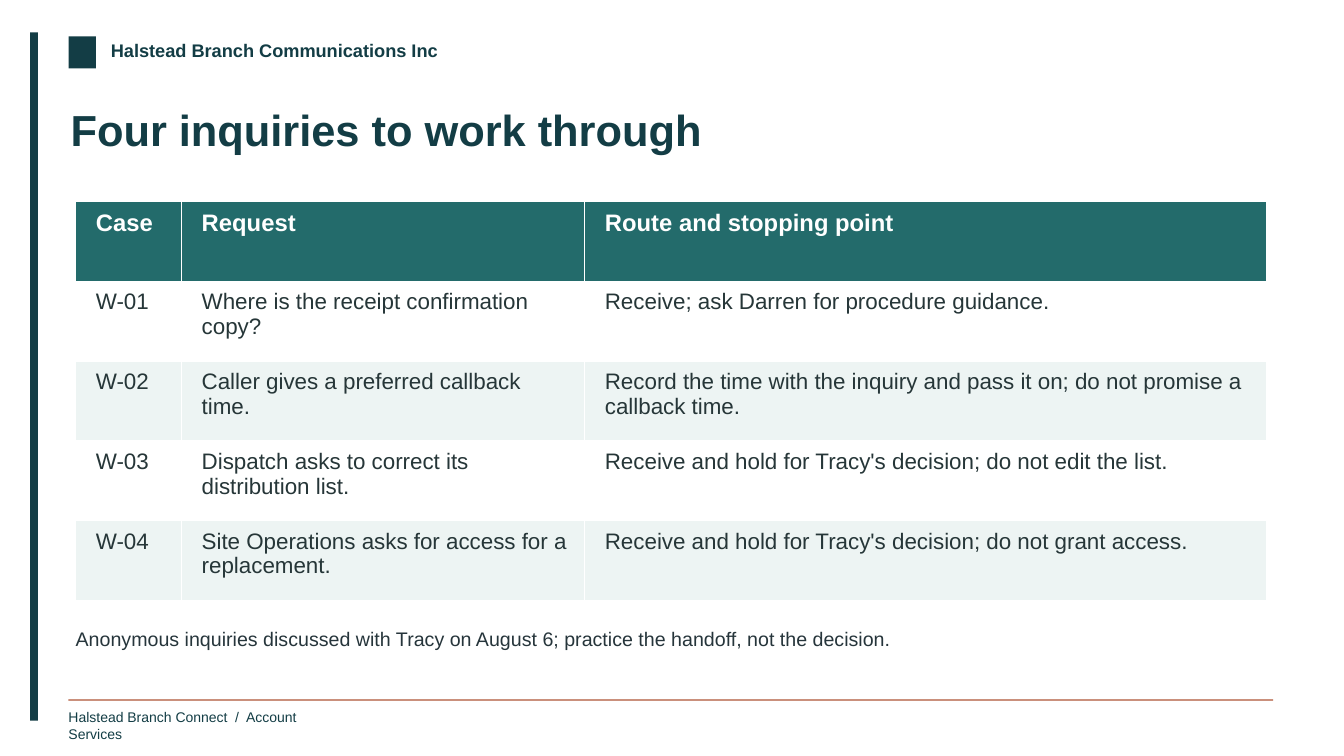
from dataclasses import dataclass

from pptx import Presentation
from pptx.dml.color import RGBColor
from pptx.enum.shapes import MSO_SHAPE
from pptx.util import Emu, Inches, Pt

HUES = {
    "ink": "133D45",
    "rust": "AF5636",
    "teal": "236B6B",
    "mist": "EDF4F3",
    "white": "FFFFFF",
    "cell": "263638",
    "note": "26353B",
}
WIDE, HIGH = Inches(13.333), Inches(7.5)


@dataclass(frozen=True)
class Box:
    """A place on the slide, in percent of its width and height."""
    left: float
    top: float
    width: float
    height: float

    def place(self) -> tuple[Emu, Emu, Emu, Emu]:
        return (share(self.left, WIDE), share(self.top, HIGH),
                share(self.width, WIDE), share(self.height, HIGH))


@dataclass(frozen=True)
class Block:
    box: Box
    hue: str


@dataclass(frozen=True)
class Label:
    box: Box
    text: str
    size: int
    hue: str = "ink"
    bold: bool = False
    wrap: bool = False


BLOCKS = [
    Block(Box(2.25, 4.27, 0.57, 91.07), "ink"),
    Block(Box(5.1, 4.8, 2.03, 4.27), "ink"),
    Block(Box(5.1, 92.53, 89.63, 0.17), "rust"),
]
LABELS = [
    Label(Box(8.25, 5.2, 26.6, 3.6), "Halstead Branch Communications Inc", 13, bold=True),
    Label(Box(5.1, 93.73, 19.5, 3.07), "Halstead Branch Connect  /  Account Services", 10),
    Label(Box(5.25, 13.6, 89.25, 11.47), "Four inquiries to work through", 31,
          bold=True, wrap=True),
    Label(Box(5.63, 82.93, 88.65, 5.87),
          "Anonymous inquiries discussed with Tracy on August 6; "
          "practice the handoff, not the decision.", 14, "note", wrap=True),
]
GRID = Box(5.63, 26.67, 88.65, 52.8)
COLS = [7.88, 30, 50.77]
ROWS = [
    ("Case", "Request", "Route and stopping point"),
    ("W-01", "Where is the receipt confirmation copy?",
     "Receive; ask Darren for procedure guidance."),
    ("W-02", "Caller gives a preferred callback time.",
     "Record the time with the inquiry and pass it on; do not promise a callback time."),
    ("W-03", "Dispatch asks to correct its distribution list.",
     "Receive and hold for Tracy's decision; do not edit the list."),
    ("W-04", "Site Operations asks for access for a replacement.",
     "Receive and hold for Tracy's decision; do not grant access."),
]


def share(part: float, whole: int) -> Emu:
    return Emu(round(whole * part / 100))


def tint(hue: str) -> RGBColor:
    return RGBColor.from_string(HUES[hue])


def write(frame, text: str, *, size: int, hue: str, bold: bool = False,
          pads: tuple[float, ...] = (0, 0, 0, 0)) -> None:
    """Fill a text frame; pads are left, top, right, bottom in inches."""
    (frame.margin_left, frame.margin_top,
     frame.margin_right, frame.margin_bottom) = map(Inches, pads)
    run = frame.paragraphs[0].add_run()
    run.text = text
    run.font.name = "Arial"
    run.font.size = Pt(size)
    run.font.bold = bold
    run.font.color.rgb = tint(hue)


def draw_block(slide, block: Block) -> None:
    shape = slide.shapes.add_shape(MSO_SHAPE.RECTANGLE, *block.box.place())
    shape.shadow.inherit = False
    shape.fill.solid()
    shape.fill.fore_color.rgb = tint(block.hue)
    shape.line.fill.background()


def draw_label(slide, label: Label) -> None:
    frame = slide.shapes.add_textbox(*label.box.place()).text_frame
    frame.word_wrap = label.wrap
    write(frame, label.text, size=label.size, hue=label.hue, bold=label.bold)


def draw_table(slide) -> None:
    table = slide.shapes.add_table(len(ROWS), len(COLS), *GRID.place()).table
    table.horz_banding = False
    for col, width in zip(table.columns, COLS):
        col.width = share(width, WIDE)
    for i, texts in enumerate(ROWS):
        head = i == 0
        fill = "teal" if head else "white" if i % 2 else "mist"
        for j, text in enumerate(texts):
            cell = table.cell(i, j)
            cell.fill.solid()
            cell.fill.fore_color.rgb = tint(fill)
            write(cell.text_frame, text, size=17 if head else 16,
                  hue="white" if head else "cell", bold=head)
            cell.margin_left, cell.margin_top = Inches(0.2), Inches(0.08)
            cell.margin_right, cell.margin_bottom = Inches(0.12), Inches(0.05)


def main() -> None:
    deck = Presentation()
    deck.slide_width, deck.slide_height = WIDE, HIGH
    slide = deck.slides.add_slide(deck.slide_layouts[6])
    for block in BLOCKS:
        draw_block(slide, block)
    for label in LABELS:
        draw_label(slide, label)
    draw_table(slide)
    deck.save("out.pptx")


if __name__ == "__main__":
    main()
